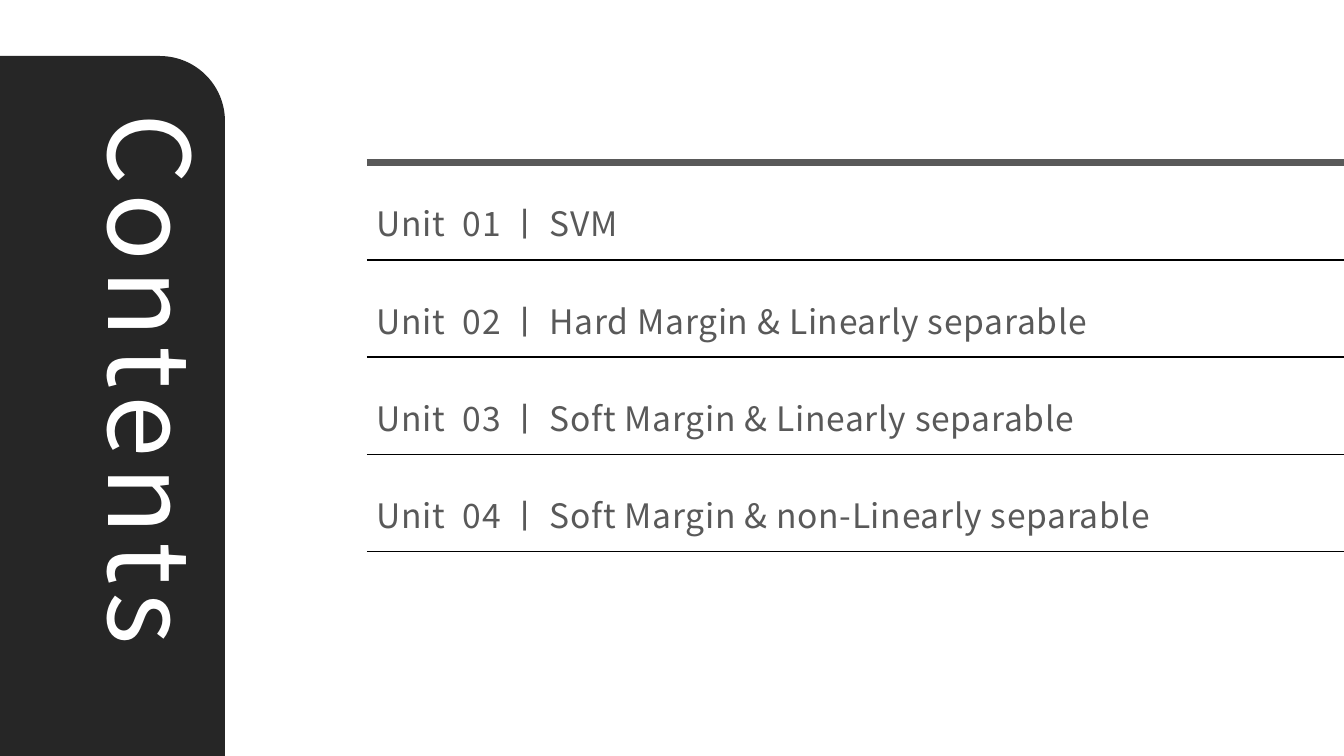
from lxml.etree import SubElement
from pptx import Presentation
from pptx.dml.color import RGBColor
from pptx.enum.shapes import MSO_CONNECTOR as Connector, MSO_SHAPE as Shape
from pptx.enum.text import MSO_ANCHOR as Anchor, MSO_AUTO_SIZE as AutoSize, PP_ALIGN as Align
from pptx.oxml.ns import qn
from pptx.util import Pt

FONT = "Noto Sans CJK KR"
FONT_HEIGHT = 1.2
UNITS = [
    "SVM",
    "Hard Margin & Linearly separable",
    "Soft Margin & Linearly separable",
    "Soft Margin & non-Linearly separable",
]


def color(value):
    return RGBColor.from_string(value)


def set_values(target, values):
    for name, value in values.items():
        setattr(target, name, value)


def place(shape, left, top, width, height):
    set_values(shape, {"left": Pt(left), "top": Pt(top), "width": Pt(width), "height": Pt(height)})


def write_lines(shape, lines, size, text_color, tracking, gap=0):
    frame = shape.text_frame
    set_values(frame, {"text": "\n".join(lines), "word_wrap": True,
                       "auto_size": AutoSize.NONE, "vertical_anchor": Anchor.TOP})
    for paragraph in frame.paragraphs:
        set_values(paragraph, {"alignment": Align.LEFT, "line_spacing": 1.0,
                               "space_before": Pt(0), "space_after": Pt(gap)})
        properties = paragraph._p.get_or_add_pPr()
        properties.set("marL", "0")
        properties.set("indent", "0")
        SubElement(properties, qn("a:buNone"))
        for run in paragraph.runs:
            set_values(run.font, {"name": FONT, "size": Pt(size), "bold": False})
            run.font.color.rgb = color(text_color)
            run_properties = run._r.get_or_add_rPr()
            run_properties.set("spc", str(round(tracking * 100)))
            SubElement(run_properties, qn("a:ea"), typeface=FONT)


def add_rule(slide, left, right, y, line_color, weight):
    rule = slide.shapes.add_connector(Connector.STRAIGHT, Pt(left), Pt(y), Pt(right), Pt(y))
    rule.line.color.rgb = color(line_color)
    rule.line.width = Pt(weight)
    SubElement(rule._element.spPr, qn("a:effectLst"))


def add_title_panel(slide, left, top, width, height):
    panel = slide.shapes.add_shape(Shape.ROUND_1_RECTANGLE, Pt(left), Pt(top), Pt(width), Pt(height))
    panel.adjustments[0] = 0.29
    panel.shadow.inherit = False
    panel.fill.solid()
    panel.fill.fore_color.rgb = color("262626")
    panel.line.fill.background()
    slide.shapes._spTree.insert(2, panel._element)

    title = slide.shapes.title
    title_length, title_depth = 501.8, 104.4
    center_x = left + width + 0.6 - title_depth / 2
    center_y = top + 34 + title_length / 2
    place(title, center_x - title_length / 2, center_y - title_depth / 2, title_length, title_depth)
    title.rotation = 90
    write_lines(title, ["Contents"], 80, "FFFFFF", 6)


def add_unit_list(slide, left, top, width, height):
    pitch = height / len(UNITS)
    size = 24
    body = slide.placeholders[1]
    place(body, left, top + 25.4, width - 19, height)
    lines = [f"Unit  {number:02} ㅣ {name}" for number, name in enumerate(UNITS, 1)]
    write_lines(body, lines, size, "595959", 0.5, pitch - size * FONT_HEIGHT)

    add_rule(slide, left, left + width, top, "595959", 5)
    for number in range(1, len(UNITS) + 1):
        add_rule(slide, left, left + width, top + number * pitch, "000000", 1)


def main():
    presentation = Presentation()
    set_values(presentation, {"slide_width": Pt(960), "slide_height": Pt(540)})
    slide = presentation.slides.add_slide(presentation.slide_layouts[1])
    add_title_panel(slide, 0, 40, 160.7, 500)
    add_unit_list(slide, 262, 116.2, 698, 277.8)
    presentation.save("out.pptx")


if __name__ == "__main__":
    main()
